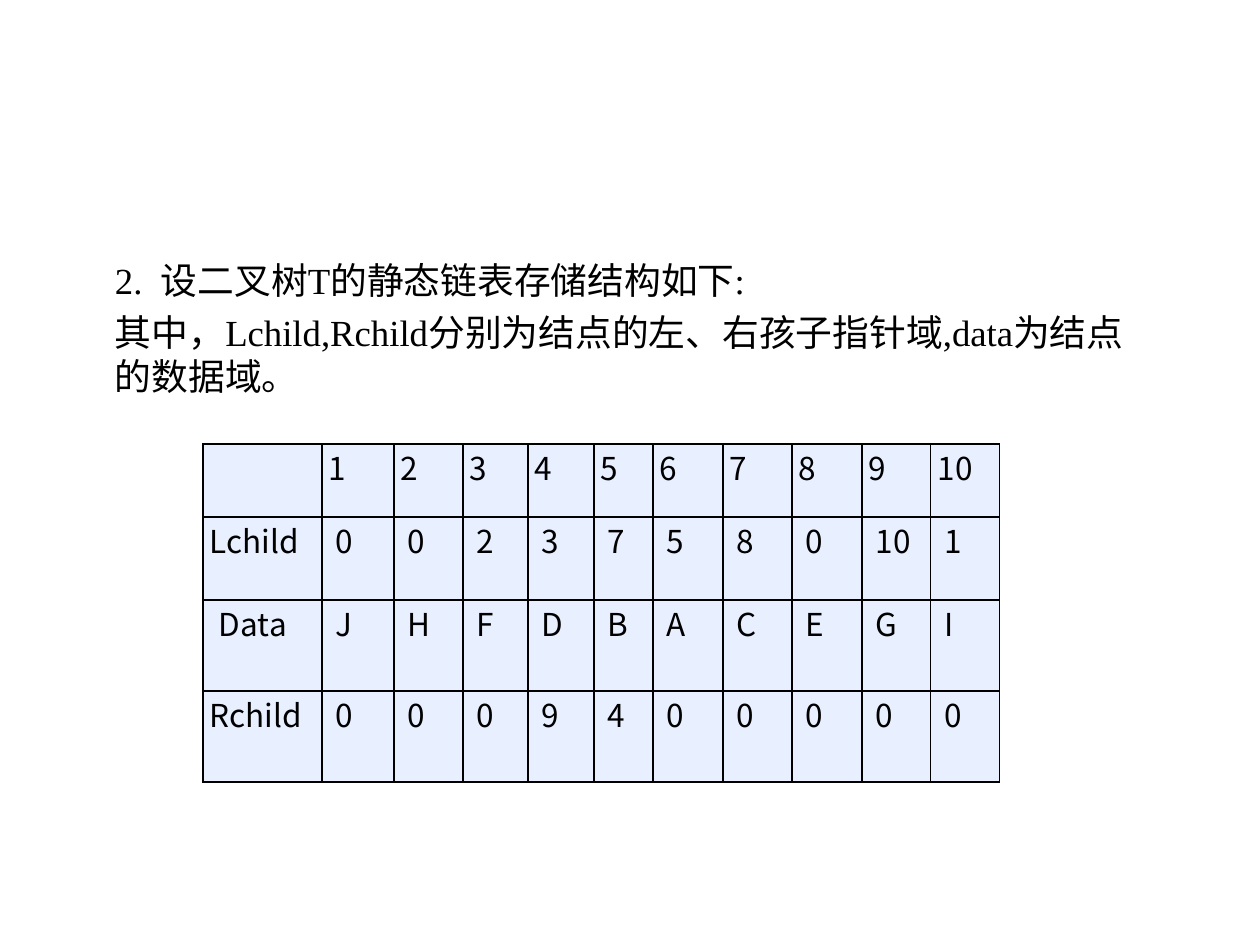
from dataclasses import dataclass

from lxml import etree
from pptx import Presentation, util as u
from pptx.dml.color import RGBColor
from pptx.enum import text as t
from pptx.oxml.ns import qn

PX = u.Inches(1) // 126
BLACK = RGBColor(0x00, 0x00, 0x00)
PALE = RGBColor(0xE8, 0xEF, 0xFF)
SERIF = "Times New Roman"
SANS = "Noto Sans CJK SC"
PAD = 7  # side margin of a cell
LINES = (
    "2.  设二叉树T的静态链表存储结构如下:",
    "其中，Lchild,Rchild分别为结点的左、右孩子指针域,data为结点的数据域。",
)
COLS = (119, 72, 69, 65, 66, 59, 70, 69, 70, 69, 69)


@dataclass
class Row:
    label: str
    items: list[str]
    height: int
    shift: int = 7  # extra left gap of the values
    inset: int = 0  # extra left gap of the label


ROWS = (
    Row("", [str(n) for n in range(1, 11)], 73, shift=0),
    Row("Lchild", "0 0 2 3 7 5 8 0 10 1".split(), 83),
    Row("Data", list("JHFDBACEGI"), 91, inset=9),
    Row("Rchild", list("0009400000"), 91),
)


def px(n: int) -> u.Emu:
    return u.Emu(n * PX)


def style(font, name: str, size: int) -> None:
    form = {"name": name, "size": u.Pt(size)}
    for key, value in form.items():
        setattr(font, key, value)
    font.color.rgb = BLACK


def edge(cell) -> None:
    """Draw a thin black line on all four sides of the cell."""
    prop = cell._tc.get_or_add_tcPr()
    for side in "LRTB":
        line = etree.SubElement(prop, qn(f"a:ln{side}"), w=str(u.Pt(1)))
        fill = etree.SubElement(line, qn("a:solidFill"))
        etree.SubElement(fill, qn("a:srgbClr"), val=str(BLACK))


def put(cell, word: str, gap: int) -> None:
    """Fill one table cell, with its text moved right by gap."""
    edge(cell)
    cell.fill.solid()
    cell.fill.fore_color.rgb = PALE
    form = {
        "margin_left": px(PAD + gap),
        "margin_right": px(PAD),
        "margin_top": 0,
        "margin_bottom": 0,
    }
    for key, value in form.items():
        setattr(cell, key, value)
    para = cell.text_frame.paragraphs[0]
    para.alignment = t.PP_ALIGN.JUSTIFY
    style(para.font, SANS, 18)
    if word:
        run = para.add_run()
        run.text = word
        style(run.font, SANS, 18)


def intro(slide) -> None:
    frame = slide.shapes.add_textbox(px(106), px(253), px(1029), px(357)).text_frame
    form = {
        "word_wrap": True,
        "margin_left": px(9),
        "margin_right": px(9),
        "margin_top": px(5),
        "margin_bottom": px(5),
    }
    for key, value in form.items():
        setattr(frame, key, value)
    for n, line in enumerate(LINES):
        para = frame.add_paragraph() if n else frame.paragraphs[0]
        para.space_before = u.Pt(4.2)
        run = para.add_run()
        run.text = line
        style(run.font, SERIF, 21)


def grid(slide) -> None:
    tall = sum(row.height for row in ROWS)
    table = slide.shapes.add_table(
        len(ROWS), len(COLS), px(203), px(444), px(sum(COLS)), px(tall)
    ).table
    table.first_row = table.horz_banding = False
    for col, wide in zip(table.columns, COLS):
        col.width = px(wide)
    for r, row in enumerate(ROWS):
        table.rows[r].height = px(row.height)
        put(table.cell(r, 0), row.label, row.inset)
        for c, item in enumerate(row.items, 1):
            put(table.cell(r, c), item, row.shift)


def main() -> None:
    deck = Presentation()
    deck.slide_width, deck.slide_height = px(1260), px(945)
    slide = deck.slides.add_slide(deck.slide_layouts[6])
    intro(slide)
    grid(slide)
    deck.save("out.pptx")


if __name__ == "__main__":
    main()
